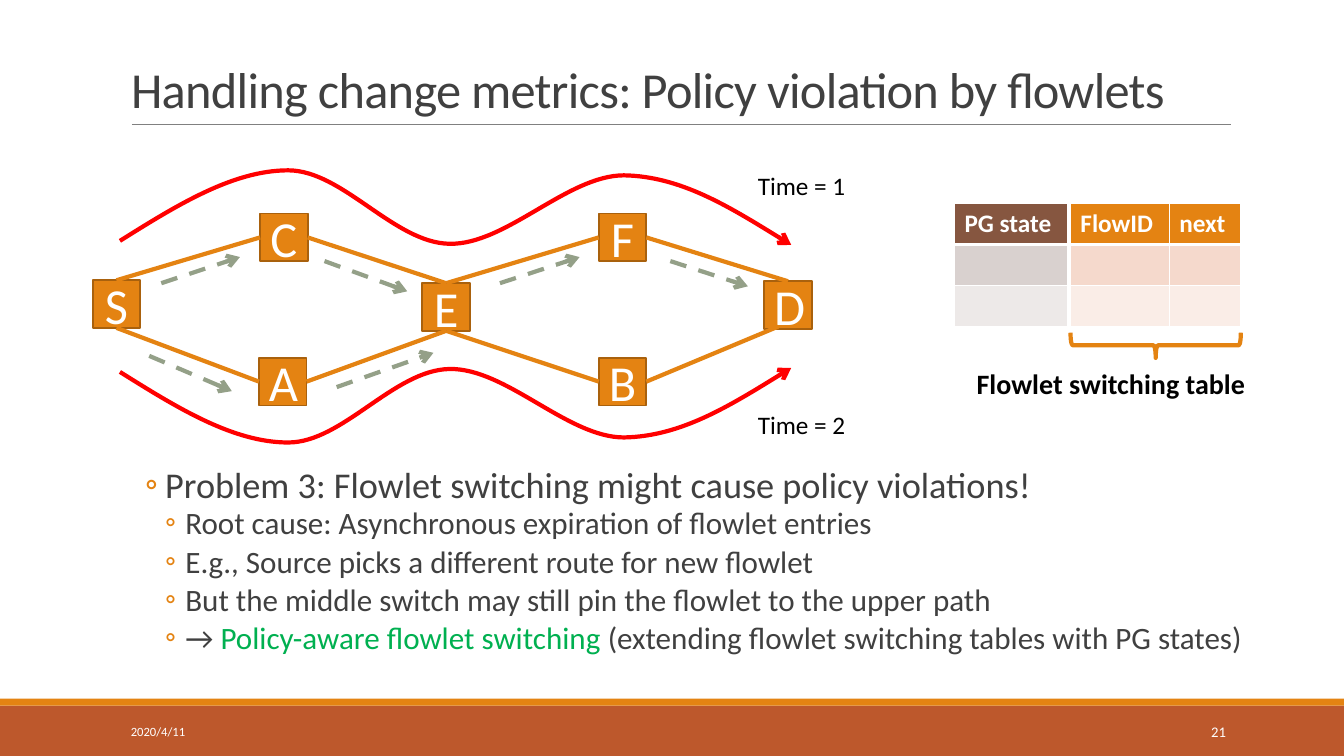
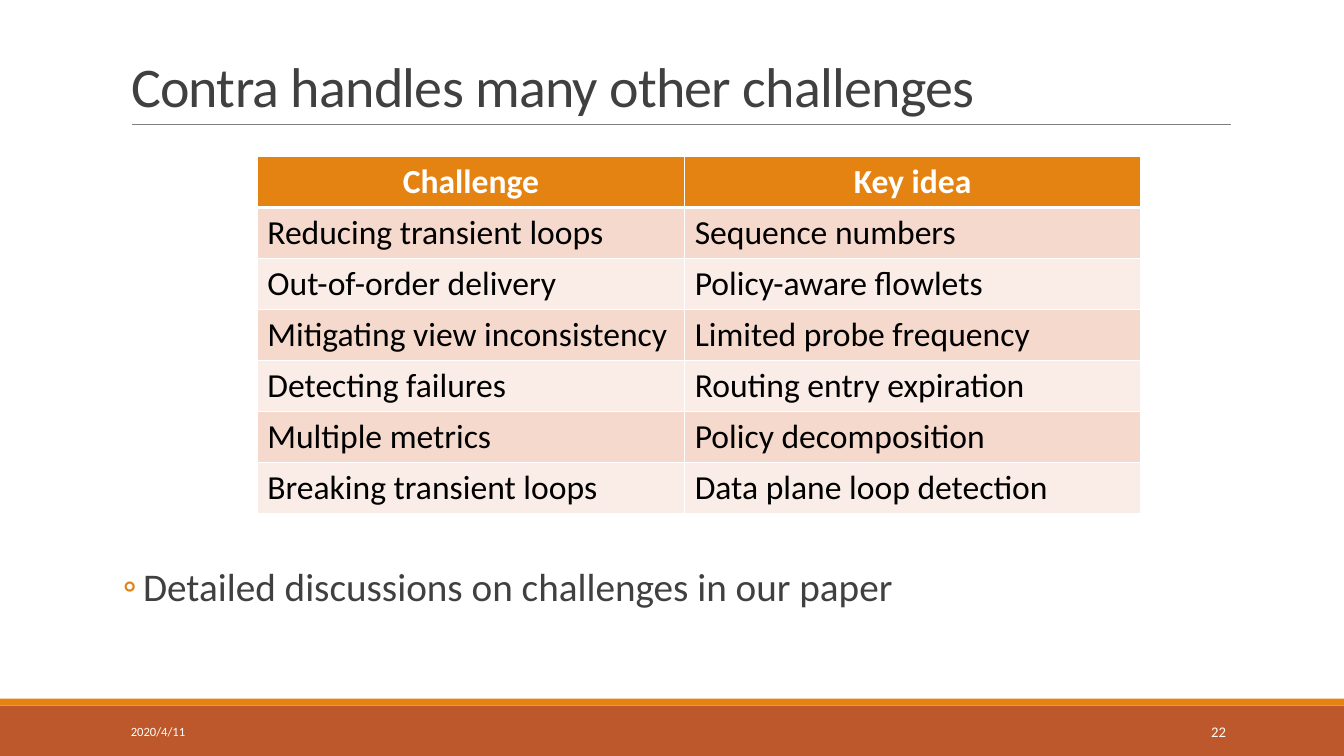
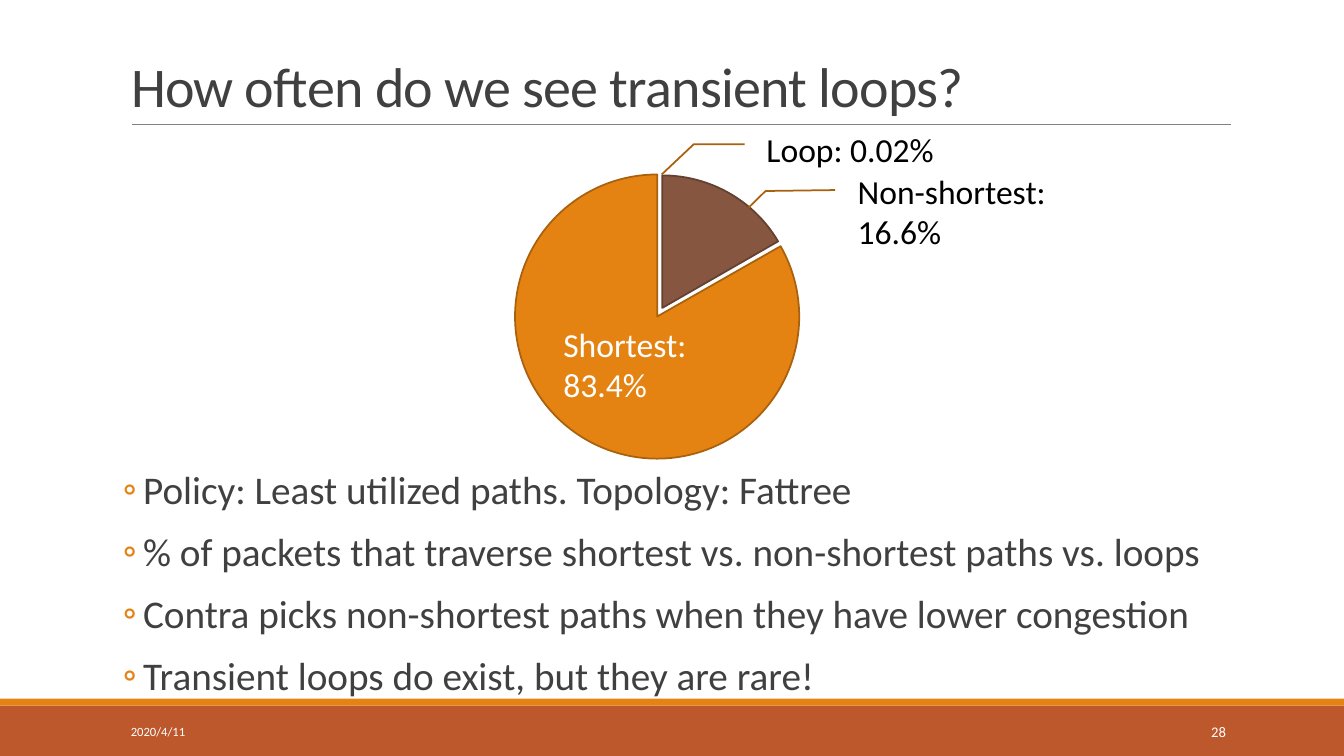
"""Build three slides on routing challenges: flowlets, key ideas and transient loops."""
from dataclasses import dataclass
from typing import NamedTuple, Optional

from lxml import etree
from pptx import Presentation
from pptx.dml.color import RGBColor
from pptx.enum.dml import MSO_LINE
from pptx.enum.shapes import MSO_CONNECTOR, MSO_SHAPE
from pptx.enum.text import MSO_ANCHOR, MSO_AUTO_SIZE, PP_ALIGN
from pptx.oxml.ns import qn
from pptx.util import Pt

RECTANGLE, PIE, BRACE = MSO_SHAPE.RECTANGLE, MSO_SHAPE.PIE, MSO_SHAPE.RIGHT_BRACE
CALLOUT = MSO_SHAPE.LINE_CALLOUT_2_NO_BORDER
STRAIGHT, DASH = MSO_CONNECTOR.STRAIGHT, MSO_LINE.DASH
LEFT, CENTER, RIGHT = PP_ALIGN.LEFT, PP_ALIGN.CENTER, PP_ALIGN.RIGHT
TOP, MIDDLE, BOTTOM = MSO_ANCHOR.TOP, MSO_ANCHOR.MIDDLE, MSO_ANCHOR.BOTTOM
NO_AUTOFIT = MSO_AUTO_SIZE.NONE
TOP_SITE, LEFT_SITE, BOTTOM_SITE, RIGHT_SITE = range(4)

FONT = "Calibri"
WHITE, BLACK, INK, GRAY = "FFFFFF", "000000", "404040", "808080"
ORANGE, DARK_ORANGE, RUST = "E48312", "A9610D", "BD582C"
BROWN, DARK_BROWN = "865640", "63402F"
GREEN, SAGE, RED = "00B050", "94A088", "FF0000"
ORANGE_ROWS = ("F5D9CC", "FAEDE7")
BROWN_ROWS = ("D9D1CF", "EDE9E8")
NODE_SIZE = 34
MIRROR_SUM = 437.8


class Area(NamedTuple):
    """Left, top, width and height in points."""
    left: float
    top: float
    width: float
    height: float


class Point(NamedTuple):
    """A position in points."""
    x: float
    y: float


class Span(NamedTuple):
    """A piece of text with one colour."""
    text: str
    color: str = INK


class Link(NamedTuple):
    """A line between the side middles of two nodes."""
    start: str
    start_site: int
    end: str
    end_site: int


@dataclass(frozen=True)
class Bullet:
    """A bulleted paragraph."""
    spans: tuple[Span, ...]
    size: float = 28
    level: int = 0


@dataclass(frozen=True)
class Grid:
    """A table with a header row and banded rows below."""
    left: float
    top: float
    widths: tuple[float, ...]
    row_height: float
    rows: tuple[tuple[str, ...], ...]
    size: float
    header_fill: str
    row_fills: tuple[str, str]
    header_align: PP_ALIGN = LEFT


@dataclass(frozen=True)
class Callout:
    """A label with a bent leader line."""
    area: Area
    text: str
    leader: tuple[float, ...]
    align: PP_ALIGN = LEFT


@dataclass(frozen=True)
class Slice:
    """A pie slice with its angle settings."""
    area: Area
    angles: tuple[float, float]
    fill: str
    line: str


NODES = {
    "A": Point(185, 255.6), "C": Point(185.8, 152.6), "S": Point(66.2, 200.2),
    "E": Point(301.7, 202.3), "B": Point(427.7, 255.6), "F": Point(427.7, 152.6),
    "D": Point(545.8, 200.9),
}
LINKS = (
    Link("S", BOTTOM_SITE, "A", LEFT_SITE), Link("S", TOP_SITE, "C", LEFT_SITE),
    Link("C", RIGHT_SITE, "E", TOP_SITE), Link("A", RIGHT_SITE, "E", BOTTOM_SITE),
    Link("E", BOTTOM_SITE, "B", LEFT_SITE), Link("E", TOP_SITE, "F", LEFT_SITE),
    Link("F", RIGHT_SITE, "D", TOP_SITE),
)
PROBES = (
    (Point(106.6, 254.2), Point(165.6, 279.4)), (Point(240.5, 276.5), Point(309.6, 252)),
    (Point(357.1, 202.3), Point(414, 183.6)), (Point(478.8, 186.5), Point(534.2, 204.5)),
    (Point(115.2, 202.3), Point(171.4, 183.6)), (Point(231.8, 186.5), Point(290.9, 208.1)),
)
UPPER_ROUTE = (
    Point(85.7, 172.1),
    Point(126, 146.9), Point(166.3, 121.7), Point(205.9, 121.7),
    Point(244.8, 121.7), Point(281.5, 173.5), Point(321.1, 174.2),
    Point(361.4, 175), Point(405.4, 125.3), Point(445.7, 125.3),
    Point(486, 126), Point(525.6, 150.5), Point(565.2, 175),
)
LOWER_ROUTE = tuple(Point(x, MIRROR_SUM - y) for x, y in UPPER_ROUTE)

POLICY_BULLETS = (
    Bullet((Span("Problem 3: Flowlet switching might cause policy violations!"),), 25.9),
    Bullet((Span("Root cause: Asynchronous expiration of flowlet entries"),), 22.2, 1),
    Bullet((Span("E.g., Source picks a different route for new flowlet"),), 22.2, 1),
    Bullet((Span("But the middle switch may still pin the flowlet to the upper path"),), 22.2, 1),
    Bullet((Span("→ "), Span("Policy-aware flowlet switching ", GREEN),
            Span("(extending flowlet switching tables with PG states)")), 22.2, 1),
)
LOOP_BULLETS = tuple(Bullet((Span(text),)) for text in (
    "Policy: Least utilized paths. Topology: Fattree",
    "% of packets that traverse shortest vs. non-shortest paths vs. loops",
    "Contra picks non-shortest paths when they have lower congestion",
    "Transient loops do exist, but they are rare!",
))
FLOW_TABLE = Grid(764.6, 145.4, (70.6, 51.1), 29.2,
                  (("FlowID", "next"), ("", ""), ("", "")), 18, ORANGE, ORANGE_ROWS)
STATE_TABLE = Grid(681.8, 145.4, (80.6,), 29.2,
                   (("PG state",), ("",), ("",)), 18, BROWN, BROWN_ROWS)
CHALLENGE_TABLE = Grid(183.8, 111.8, (305.3, 325.6), 36.4, (
    ("Challenge", "Key idea"),
    ("Reducing transient loops", "Sequence numbers"),
    ("Out-of-order delivery", "Policy-aware flowlets"),
    ("Mitigating view inconsistency", "Limited probe frequency"),
    ("Detecting failures", "Routing entry expiration"),
    ("Multiple metrics", "Policy decomposition"),
    ("Breaking transient loops", "Data plane loop detection"),
), 24, ORANGE, ORANGE_ROWS, CENTER)
SLICES = (
    Slice(Area(367.9, 124.6, 203, 203), (198.2, 162), ORANGE, DARK_ORANGE),
    Slice(Area(377.3, 125.3, 191.5, 189.4), (162.01, 198.08), BROWN, DARK_BROWN),
)
CALLOUTS = (
    Callout(Area(540, 88.6, 134.6, 36), "Loop: 0.02%",
            (0.4, -0.06, 0.4, -0.33, 1, -0.5), CENTER),
    Callout(Area(605.5, 118.1, 150.5, 65.5), "Non-shortest:\n16.6%",
            (0.27, -0.06, 0.28, -0.39, 0.46, -0.47)),
)


def rgb(color: str) -> RGBColor:
    """Turn a hex string into a colour."""
    return RGBColor.from_string(color)


def points(*values: float) -> list[Pt]:
    """Turn numbers into point lengths."""
    return [Pt(value) for value in values]


def write(para, text: str, *, size: float, color: str = INK, bold: bool = False,
          align: PP_ALIGN = LEFT) -> None:
    """Add formatted text to a paragraph, with a line break at each newline."""
    para.alignment = align
    for index, part in enumerate(text.split("\n")):
        if index:
            para.add_line_break()
        span = para.add_run()
        span.text = part
        span.font.name, span.font.size, span.font.bold = FONT, Pt(size), bold
        span.font.color.rgb = rgb(color)


def add_text(slide, area: Area, text: str, *, anchor: MSO_ANCHOR = TOP,
             wrap: bool = True, **style) -> None:
    """Add a text box with one paragraph."""
    frame = slide.shapes.add_textbox(*points(*area)).text_frame
    frame.word_wrap, frame.vertical_anchor = wrap, anchor
    write(frame.paragraphs[0], text, **style)


def add_preset(slide, kind: MSO_SHAPE, area: Area, *, fill: Optional[str] = None,
               line: Optional[str] = None, width: float = 1.25, adjust: tuple[float, ...] = ()):
    """Add a preset shape without shadow."""
    shape = slide.shapes.add_shape(kind, *points(*area))
    shape.shadow.inherit = False
    for index, value in enumerate(adjust):
        shape.adjustments[index] = value
    if fill:
        shape.fill.solid()
        shape.fill.fore_color.rgb = rgb(fill)
    else:
        shape.fill.background()
    if line:
        shape.line.color.rgb, shape.line.width = rgb(line), Pt(width)
    else:
        shape.line.fill.background()
    return shape


def add_arrowhead(shape) -> None:
    """Put an open arrowhead at the end of a line."""
    etree.SubElement(shape.get_or_add_ln(), qn("a:tailEnd"), type="arrow")


def add_line(slide, start: Point, end: Point, *, color: str, width: float,
             dashed_arrow: bool = False):
    """Add a straight connector, plain or as a dashed arrow."""
    line = slide.shapes.add_connector(STRAIGHT, *points(*start, *end))
    line.line.color.rgb, line.line.width = rgb(color), Pt(width)
    if dashed_arrow:
        line.line.dash_style = DASH
        add_arrowhead(line)
    etree.SubElement(line.element.spPr, qn("a:effectLst"))
    return line


def add_route(slide, route: tuple[Point, ...]) -> None:
    """Add a curved red arrow through cubic segments."""
    start, *rest = route
    segments = [rest[index:index + 3] for index in range(0, len(rest), 3)]
    builder = slide.shapes.build_freeform(*points(*start), scale=1.0)
    builder.add_line_segments([points(*segment[-1]) for segment in segments], close=False)
    curve = builder.convert_to_shape()
    for straight, segment in zip(curve.element.xpath(".//a:lnTo"), segments):
        bend = etree.Element(qn("a:cubicBezTo"))
        for x, y in segment:
            etree.SubElement(bend, qn("a:pt"), x=str(Pt(x) - curve.left),
                             y=str(Pt(y) - curve.top))
        straight.getparent().replace(straight, bend)
    curve.shadow.inherit = False
    curve.fill.background()
    curve.line.color.rgb, curve.line.width = rgb(RED), Pt(3)
    add_arrowhead(curve)


def add_bullets(slide, area: Area, bullets: tuple[Bullet, ...], *, spacing: float = 0.9) -> None:
    """Add a text box of bulleted paragraphs."""
    frame = slide.shapes.add_textbox(*points(*area)).text_frame
    frame.word_wrap = True
    frame.margin_left = frame.margin_right = Pt(0)
    for index, bullet in enumerate(bullets):
        para = frame.add_paragraph() if index else frame.paragraphs[0]
        properties = para._p.get_or_add_pPr()
        properties.set("marL", str(Pt(15.84 + 14.4 * bullet.level)))
        properties.set("indent", str(Pt(-14.4)))
        tint = etree.SubElement(properties, qn("a:buClr"))
        etree.SubElement(tint, qn("a:srgbClr"), val=ORANGE)
        etree.SubElement(properties, qn("a:buFont"), typeface=FONT)
        etree.SubElement(properties, qn("a:buChar"), char="◦")
        before, after = (2, 4) if bullet.level else (12, 2)
        para.line_spacing, para.space_after = spacing, Pt(after)
        para.space_before = Pt(before if index else 0)
        for span in bullet.spans:
            write(para, span.text, size=bullet.size, color=span.color)


def add_borders(cell, bottom: float) -> None:
    """Give a cell white borders."""
    properties = cell._tc.get_or_add_tcPr()
    for side, width in (("L", 1), ("R", 1), ("T", 1), ("B", bottom)):
        border = etree.SubElement(properties, qn(f"a:ln{side}"), w=str(Pt(width)))
        paint = etree.SubElement(border, qn("a:solidFill"))
        etree.SubElement(paint, qn("a:srgbClr"), val=WHITE)


def add_grid(slide, grid: Grid) -> None:
    """Add a table."""
    area = Area(grid.left, grid.top, sum(grid.widths), grid.row_height * len(grid.rows))
    table = slide.shapes.add_table(len(grid.rows), len(grid.widths), *points(*area)).table
    for column, width in zip(table.columns, grid.widths):
        column.width = Pt(width)
    for row_index, texts in enumerate(grid.rows):
        header = row_index == 0
        table.rows[row_index].height = Pt(grid.row_height)
        for column_index, text in enumerate(texts):
            cell = table.cell(row_index, column_index)
            add_borders(cell, 3 if header else 1)
            cell.fill.solid()
            cell.fill.fore_color.rgb = rgb(
                grid.header_fill if header else grid.row_fills[(row_index - 1) % 2])
            if text:
                write(cell.text_frame.paragraphs[0], text, size=grid.size, bold=header,
                      color=WHITE if header else BLACK,
                      align=grid.header_align if header else LEFT)


def dress_layout(slide) -> None:
    """Move the bands and the title rule into the layout that all slides share."""
    parts = (
        add_preset(slide, RECTANGLE, Area(0, 504, 960, 36), fill=RUST),
        add_preset(slide, RECTANGLE, Area(0, 499, 960, 5), fill=ORANGE),
        add_line(slide, Point(94.3, 88.6), Point(879.1, 88.6), color=GRAY, width=0.5),
    )
    for index, part in enumerate(parts):
        part.element.xpath(".//p:cNvPr")[0].set("id", str(101 + index))
        slide.slide_layout.shapes.element.insert(2 + index, part.element)


def add_page(deck, title: str, number: int, *, title_size: float = 40):
    """Add a slide with its title, date and number."""
    slide = deck.slides.add_slide(deck.slide_layouts[5])
    if len(deck.slides) == 1:
        dress_layout(slide)
    box = slide.shapes.title
    box.left, box.top, box.width, box.height = points(86.4, 22.3, 792, 66.2)
    frame = box.text_frame
    frame.word_wrap, frame.auto_size, frame.vertical_anchor = True, NO_AUTOFIT, BOTTOM
    para = frame.paragraphs[0]
    para.line_spacing = 0.85
    write(para, title, size=title_size)
    box.element.xpath(".//a:rPr")[0].set("spc", "-50")
    add_text(slide, Area(86.4, 508.3, 194.4, 28.8), "2020/4/11", size=9, color=WHITE,
             anchor=MIDDLE)
    add_text(slide, Area(779.8, 508.3, 103, 28.8), str(number), size=10.5, color=WHITE,
             anchor=MIDDLE, align=RIGHT)
    return slide


def add_network(slide) -> None:
    """Draw the nodes, links, probes and routes."""
    boxes = {}
    for name, corner in NODES.items():
        box = add_preset(slide, RECTANGLE, Area(*corner, NODE_SIZE, NODE_SIZE),
                         fill=ORANGE, line=DARK_ORANGE)
        box.text_frame.vertical_anchor = MIDDLE
        write(box.text_frame.paragraphs[0], name, size=36, color=WHITE, align=CENTER)
        boxes[name] = box
    for link in LINKS:
        line = add_line(slide, NODES[link.start], NODES[link.end], color=ORANGE, width=3)
        line.begin_connect(boxes[link.start], link.start_site)
        line.end_connect(boxes[link.end], link.end_site)
    last = add_line(slide, NODES["B"], Point(555.8, 233.3), color=ORANGE, width=3)
    last.begin_connect(boxes["B"], RIGHT_SITE)
    for start, end in PROBES:
        add_line(slide, start, end, color=SAGE, width=3, dashed_arrow=True)
    for route in (UPPER_ROUTE, LOWER_ROUTE):
        add_route(slide, route)


def build_policy_page(deck) -> None:
    """Build the slide on policy violation."""
    slide = add_page(deck, "Handling change metrics: Policy violation by flowlets", 21,
                     title_size=36)
    add_bullets(slide, Area(102.2, 332.6, 792, 153.4), POLICY_BULLETS, spacing=0.8)
    add_network(slide)
    for text, top in (("Time = 1", 118.1), ("Time = 2", 288.7)):
        add_text(slide, Area(534.2, top, 77.8, 28.8), text, size=18, color=BLACK, wrap=False)
    add_grid(slide, FLOW_TABLE)
    add_grid(slide, STATE_TABLE)
    brace = add_preset(slide, BRACE, Area(816.5, 185.8, 18, 121.7), line=ORANGE, width=3)
    brace.rotation = 90
    add_text(slide, Area(690.5, 258.5, 207.4, 31.7), "Flowlet switching table", size=20,
             color=BLACK, bold=True, wrap=False)


def build_challenge_page(deck) -> None:
    """Build the slide that lists challenges and key ideas."""
    slide = add_page(deck, "Contra handles many other challenges", 22)
    add_bullets(slide, Area(86.4, 401.8, 792, 83.5),
                (Bullet((Span("Detailed discussions on challenges in our paper"),)),))
    add_grid(slide, CHALLENGE_TABLE)


def build_loop_page(deck) -> None:
    """Build the slide on transient loops."""
    slide = add_page(deck, "How often do we see transient loops?", 28)
    add_bullets(slide, Area(86.4, 332.6, 792, 176.4), LOOP_BULLETS)
    for part in SLICES:
        add_preset(slide, PIE, part.area, fill=part.fill, line=part.line, adjust=part.angles)
    add_text(slide, Area(395.3, 227.5, 103, 65.5), "Shortest:\n83.4%", size=24, color=WHITE)
    for callout in CALLOUTS:
        label = add_preset(slide, CALLOUT, callout.area, line=DARK_ORANGE, adjust=callout.leader)
        label.text_frame.word_wrap, label.text_frame.vertical_anchor = True, MIDDLE
        write(label.text_frame.paragraphs[0], callout.text, size=24, color=BLACK,
              align=callout.align)


def main() -> None:
    """Build and save the deck."""
    deck = Presentation()
    deck.slide_width, deck.slide_height = points(960, 540)
    build_policy_page(deck)
    build_challenge_page(deck)
    build_loop_page(deck)
    deck.save("out.pptx")


if __name__ == "__main__":
    main()
